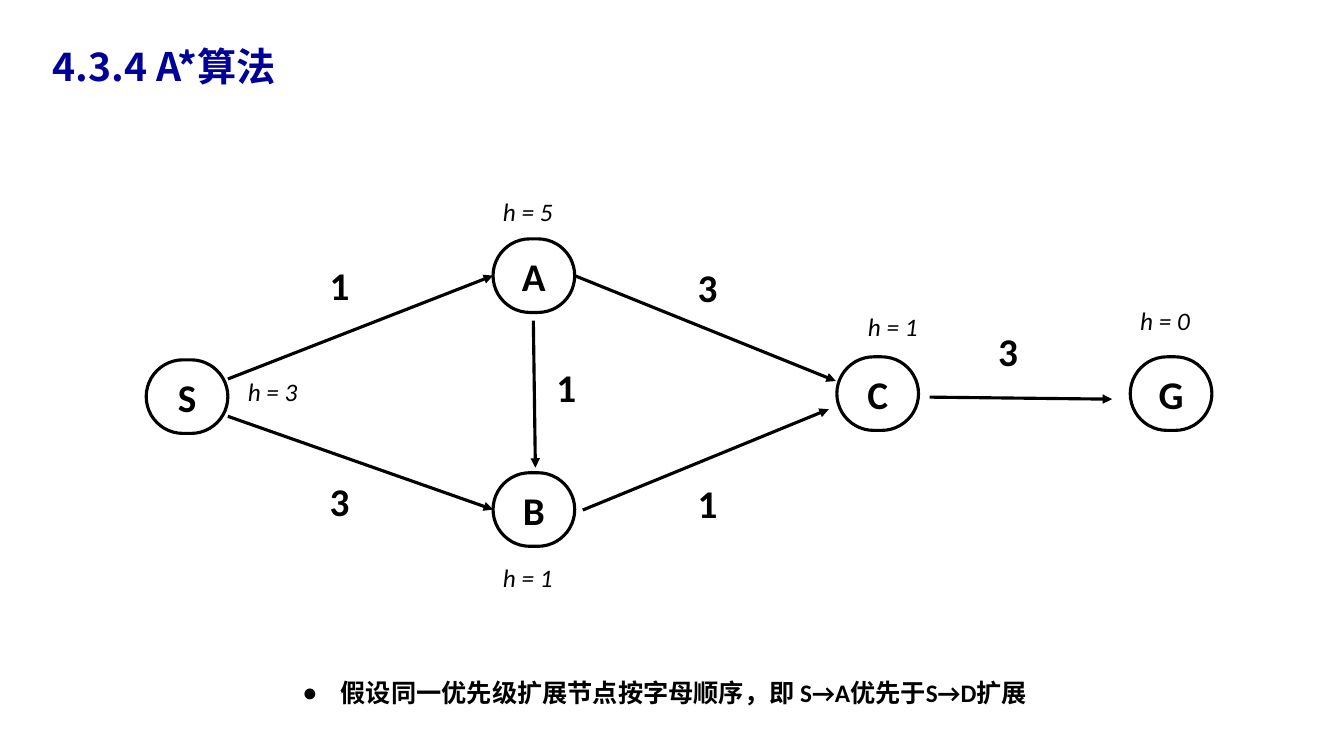
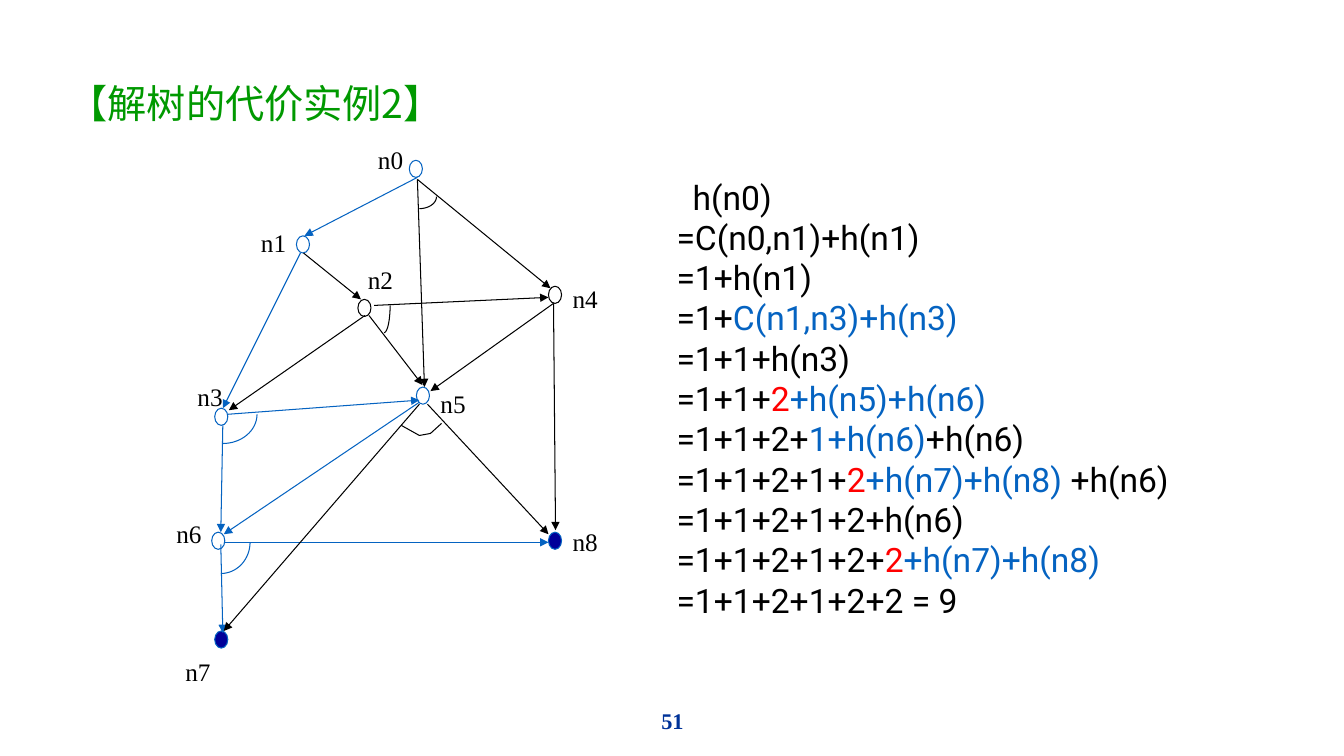
"""Build two slides on heuristic search: an A* graph and the cost of a solution tree."""
from math import cos, pi, sin

from lxml.etree import SubElement
from pptx import Presentation
from pptx.dml.color import RGBColor
from pptx.enum.shapes import MSO_CONNECTOR as CONN, MSO_SHAPE as SHAPE
from pptx.enum.text import MSO_ANCHOR as ANCHOR, MSO_AUTO_SIZE as FIT, PP_ALIGN as ALIGN
from pptx.oxml.ns import qn
from pptx.util import Inches, Pt

COLORS = {"black": "000000", "navy": "000099", "green": "009900",
          "blue": "0563C1", "red": "FF0000", "page": "003399"}
CJK = "Noto Sans CJK SC"
TITLE = {"name": CJK, "size": 28}
COST = {"name": "Calibri", "size": 28, "bold": True}
HEURISTIC = {"name": "Calibri", "size": 18, "italic": True}
NOTE = {"name": "Calibri", "size": 18, "bold": True}
TREE_LABEL = {"name": "Times New Roman", "size": 18}
PAGE = {"name": "Times New Roman", "size": 16, "bold": True, "color": "page"}
FORMULA = {"name": "Roboto", "size": 24}

STATE_SIZE = (0.81, 0.73)
STATES = {"S": (1.45, 3.57), "A": (4.89, 2.37), "B": (4.89, 4.69),
          "C": (8.3, 3.54), "G": (11.21, 3.54)}
MOVES = [
    ((2.26, 3.76), (4.89, 2.73), None, "A"),
    ((2.26, 4.13), (4.89, 5.06), None, "B"),
    ((5.71, 2.73), (8.29, 3.78), "A", None),
    ((5.78, 5.06), (8.22, 4.06), None, None),
    ((5.29, 3.18), (5.31, 4.64), None, None),
    ((9.22, 3.94), (11.03, 3.96), None, None),
]
COSTS = [("1", 3.17, 2.54), ("3", 3.17, 4.69), ("3", 6.82, 2.56),
         ("1", 6.82, 4.71), ("1", 5.42, 3.56), ("3", 9.8, 3.2)]
HEURISTICS = [("h = 3", 2.36, 3.68), ("h = 5", 4.89, 1.9), ("h = 1", 4.89, 5.53),
              ("h = 1", 8.51, 3.04), ("h = 0", 11.21, 2.98)]

TREE_NODES = [
    ("n0", (4.06, 1.59), (3.65, 1.38), "blue", None),
    ("n1", (2.94, 2.34), (2.49, 2.21), "blue", None),
    ("n2", (3.55, 2.97), (3.55, 2.57), "black", None),
    ("n3", (2.13, 4.05), (1.86, 3.73), "blue", None),
    ("n4", (5.44, 2.84), (5.58, 2.76), "black", None),
    ("n5", (4.13, 3.84), (4.27, 3.8), "blue", None),
    ("n6", (2.1, 5.28), (1.65, 5.09), "blue", None),
    ("n7", (2.13, 6.26), (1.74, 6.46), "blue", "navy"),
    ("n8", (5.44, 5.28), (5.58, 5.17), "blue", "navy"),
]
TREE_EDGES = {
    "blue": [
        ((4.14, 1.76), (3.02, 2.34)), ((2.98, 2.51), (2.21, 4.05)),
        ((2.26, 4.11), (4.16, 3.97)), ((2.21, 4.22), (2.19, 5.28)),
        ((4.16, 3.99), (2.22, 5.3)), ((2.22, 5.38), (5.44, 5.38)),
        ((2.19, 5.4), (2.21, 6.28)),
    ],
    "black": [
        ((4.14, 1.78), (4.21, 3.84)), ((4.14, 1.78), (5.46, 2.86)),
        ((3.01, 2.51), (3.58, 2.97)), ((3.66, 3.13), (4.19, 3.82)),
        ((3.71, 3.03), (5.44, 2.95)), ((3.62, 3.13), (2.27, 4.07)),
        ((5.49, 3.01), (4.27, 3.88)), ((5.49, 3.01), (5.51, 5.26)),
        ((4.16, 4.01), (2.22, 6.26)), ((4.24, 4.01), (5.44, 5.3)),
    ],
}
AND_ARCS = [(4.16, 1.95, 0.17, 0.12, "black"), (3.81, 3.03, 0.06, 0.27, "black"),
            (2.21, 4.11, 0.34, 0.29, "blue"), (2.19, 5.38, 0.29, 0.31, "blue")]
AND_BEND = [(3.98, 4.22), (4.16, 4.32), (4.27, 4.3), (4.38, 4.2)]
FORMULAS = [
    [("h(n0)", "black")],
    [("=C(n0,n1)+h(n1)", "black")],
    [("=1+h(n1)", "black")],
    [("=1+", "black"), ("C(n1,n3)+h(n3)", "blue")],
    [("=1+1+h(n3)", "black")],
    [("=1+1+", "black"), ("2", "red"), ("+h(n5)+h(n6)", "blue")],
    [("=1+1+2+", "black"), ("1+h(n6)", "blue"), ("+h(n6)", "black")],
    [("=1+1+2+1+", "black"), ("2", "red"), ("+h(n7)+h(n8)", "blue"), (" +h(n6)", "black")],
    [("=1+1+2+1+2+h(n6)", "black")],
    [("=1+1+2+1+2+", "black"), ("2", "red"), ("+h(n7)+h(n8)", "blue")],
    [("=1+1+2+1+2+2 = 9", "black")],
]


def rgb(name):
    return RGBColor.from_string(COLORS[name])


def inches(values):
    return [Inches(v) for v in values]


def add_run(p, text, style, color=None):
    r = p.add_run()
    r.text = text
    for key, value in style.items():
        if key != "color":
            setattr(r.font, key, Pt(value) if key == "size" else value)
    r.font.color.rgb = rgb(color or style.get("color", "black"))
    SubElement(r._r.get_or_add_rPr(), qn("a:ea"), typeface=CJK)


def write(tf, text, style, align=ALIGN.LEFT, anchor=ANCHOR.TOP, wrap=True):
    tf.word_wrap, tf.vertical_anchor, tf.auto_size = wrap, anchor, FIT.NONE
    p = tf.paragraphs[0]
    p.alignment = align
    add_run(p, text, style)
    return p


def add_label(s, text, box, style, **layout):
    write(s.shapes.add_textbox(*inches(box)).text_frame, text, style, **layout)


def place(sp, box):
    sp.left, sp.top, sp.width, sp.height = inches(box)
    return sp.text_frame


def set_title(s, text, box, color):
    tf = place(s.shapes.title, box)
    return write(tf, text, {**TITLE, "color": color[0], "bold": color[1]},
                 anchor=ANCHOR.MIDDLE)


def set_bullet(p, margin, indent=0, char=None):
    pPr = p._p.get_or_add_pPr()
    pPr.set("marL", str(Inches(margin)))
    pPr.set("indent", str(Inches(indent)))
    if char:
        SubElement(pPr, qn("a:buChar"), char=char)
    else:
        SubElement(pPr, qn("a:buNone"))
    p.space_before = Pt(0)


def outline(sp, color, width, fill=None):
    sp.shadow.inherit = False
    if fill:
        sp.fill.solid()
        sp.fill.fore_color.rgb = rgb(fill)
    else:
        sp.fill.background()
    sp.line.color.rgb = rgb(color)
    sp.line.width = Pt(width)


def add_arrow(s, start, end, color, width):
    line = s.shapes.add_connector(CONN.STRAIGHT, *inches(start + end))
    line.line.color.rgb = rgb(color)
    line.line.width = Pt(width)
    SubElement(line.line._get_or_add_ln(), qn("a:tailEnd"), type="triangle")
    SubElement(line._element.spPr, qn("a:effectLst"))
    return line


def add_path(s, points, color):
    start, *rest = [inches(pt) for pt in points]
    builder = s.shapes.build_freeform(*start, scale=1.0)
    builder.add_line_segments(rest, close=False)
    outline(builder.convert_to_shape(), color, 0.75)


def build_graph(prs):
    s = prs.slides.add_slide(prs.slide_layouts[1])
    set_title(s, "4.3.4 A*算法", (0.42, 0.3, 11.07, 0.71), ("navy", True))
    tf = place(s.placeholders[1], (2.9, 6.64, 7.45, 0.43))
    p = write(tf, "假设同一优先级扩展节点按字母顺序，即 S→A优先于S→D扩展", NOTE)
    set_bullet(p, 0.38, -0.38, "●")
    p.line_spacing = 1.1
    states = {}
    for name, at in STATES.items():
        sp = states[name] = s.shapes.add_shape(SHAPE.ROUNDED_RECTANGLE, *inches(at + STATE_SIZE))
        sp.adjustments[0] = 0.5
        outline(sp, "black", 2.25)
        write(sp.text_frame, name, COST, ALIGN.CENTER, ANCHOR.MIDDLE, wrap=False)
    for start, end, source, target in MOVES:
        line = add_arrow(s, start, end, "black", 2.25)
        if source:
            line.begin_connect(states[source], 3)
        if target:
            line.end_connect(states[target], 1)
    for labels, size, style in ((COSTS, (0.61, 0.57), COST), (HEURISTICS, (1.22, 0.4), HEURISTIC)):
        for text, *at in labels:
            add_label(s, text, (*at, *size), style)


def build_tree(prs):
    s = prs.slides.add_slide(prs.slide_layouts[1])
    p = set_title(s, "【解树的代价实例2】", (0.58, 0.32, 11.5, 1.45), ("green", False))
    p.line_spacing = 0.9
    add_label(s, "51", (4.42, 6.95, 4.5, 0.4), PAGE, align=ALIGN.CENTER, anchor=ANCHOR.MIDDLE)
    for name, at, label_at, color, fill in TREE_NODES:
        outline(s.shapes.add_shape(SHAPE.OVAL, *inches(at + (0.13, 0.17))), color, 0.75, fill)
        add_label(s, name, label_at + (0.45, 0.4), TREE_LABEL, anchor=ANCHOR.MIDDLE, wrap=False)
    for color, edges in TREE_EDGES.items():
        for start, end in edges:
            add_arrow(s, start, end, color, 0.75)
    angles = [pi / 2 * i / 16 for i in range(17)]
    for x, y, w, h, color in AND_ARCS:
        add_path(s, [(x + w * cos(a), y + h * sin(a)) for a in angles], color)
    add_path(s, AND_BEND, "black")
    tf = place(s.placeholders[1], (6.61, 1.7, 5.6, 4.95))
    tf.word_wrap, tf.auto_size = True, FIT.NONE
    for i, runs in enumerate(FORMULAS):
        p = tf.add_paragraph() if i else tf.paragraphs[0]
        set_bullet(p, 0 if i else 0.16)
        for text, color in runs:
            add_run(p, text, FORMULA, color)


def main():
    prs = Presentation()
    prs.slide_width, prs.slide_height = Inches(13.33), Inches(7.5)
    build_graph(prs)
    build_tree(prs)
    prs.save("out.pptx")


if __name__ == "__main__":
    main()
